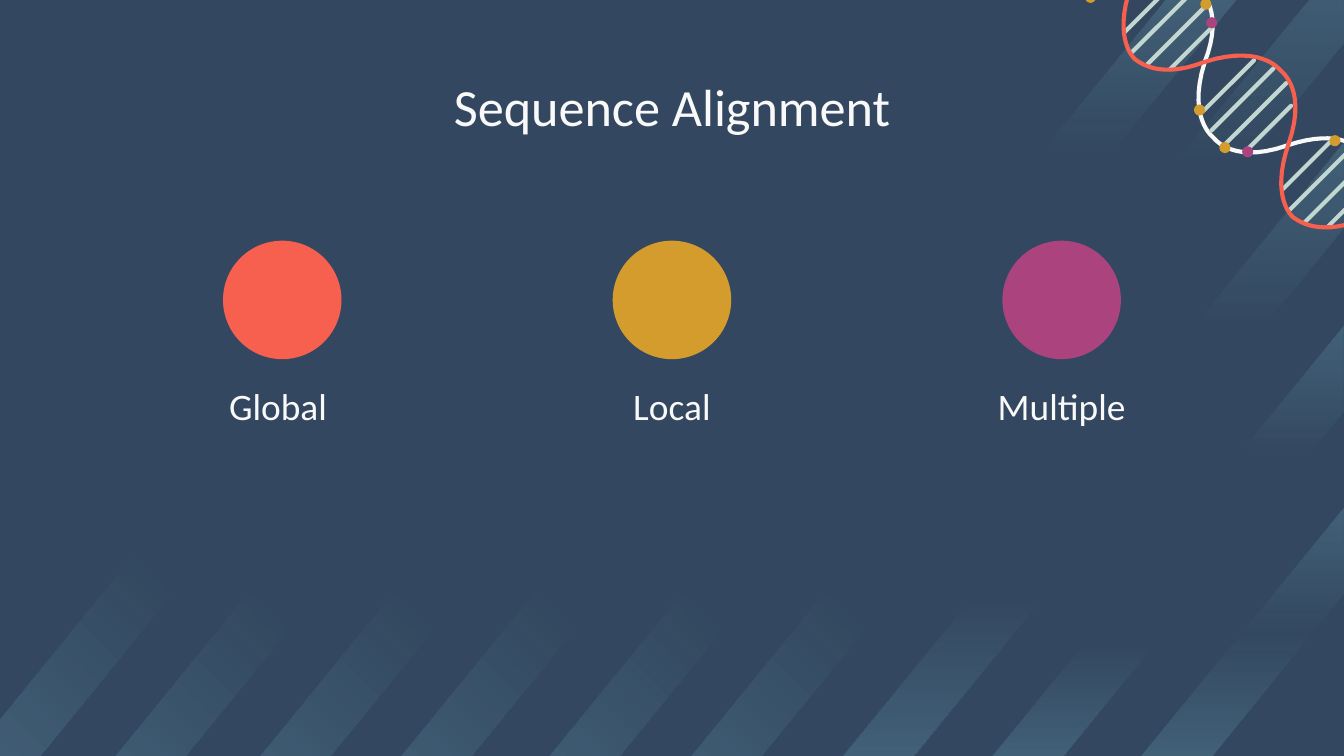
from dataclasses import dataclass
from typing import NamedTuple

from lxml import etree
from pptx import Presentation
from pptx import util as u
from pptx.dml.color import RGBColor
from pptx.enum import shapes, text
from pptx.oxml import ns
from pptx.util import Cm


@dataclass(frozen=True)
class Theme:
    background: str = "334860"
    stripe: str = "87D2E4"
    stripe_alpha: int = 18
    light: str = "F9F9F9"
    rung: str = "C2D7D0"
    red: str = "F75F4F"
    gold: str = "D39C2C"
    purple: str = "AA437E"
    font: str = "Calibri"
    title_size: int = 28
    label_size: int = 20
    strand_width: float = 2.2


class Box(NamedTuple):
    """A region of the slide, in centimetres."""
    x: float
    y: float
    w: float
    h: float


THEME = Theme()
FADE_DOWN, FADE_UP_RIGHT = 90, 315


def rgb(value):
    return RGBColor.from_string(value)


def sub(parent, tag, **attrs):
    return etree.SubElement(parent, ns.qn(tag), {k: str(v) for k, v in attrs.items()})


# Drawing helpers
def outline(s, points, close=True):
    pts = [(Cm(x), Cm(y)) for x, y in points]
    builder = s.shapes.build_freeform(*pts[0], scale=1.0)
    builder.add_line_segments(pts[1:], close=close)
    sp = builder.convert_to_shape()
    sp.shadow.inherit = False
    return sp


def disc(s, cx, cy, size, color):
    sp = s.shapes.add_shape(shapes.MSO_SHAPE.OVAL, Cm(cx - size / 2),
                            Cm(cy - size / 2), Cm(size), Cm(size))
    sp.shadow.inherit = False
    sp.fill.solid()
    sp.fill.fore_color.rgb = rgb(color)
    sp.line.fill.background()


def caption(s, box, words, size, anchor):
    sp = s.shapes.add_textbox(*map(Cm, box))
    tf = sp.text_frame
    tf.word_wrap = True
    tf.vertical_anchor = anchor
    tf.margin_left = tf.margin_right = tf.margin_top = tf.margin_bottom = Cm(0.25)
    p = tf.paragraphs[0]
    p.alignment = text.PP_ALIGN.CENTER
    r = p.add_run()
    r.text = words
    r.font.name = THEME.font
    r.font.size = u.Pt(size)
    r.font.color.rgb = rgb(THEME.light)


def stripe(s, points, stops, angle):
    """Draw a band whose gradient runs through (position %, opacity %) stops."""
    sp = outline(s, points)
    sp.line.fill.background()
    grad = etree.Element(ns.qn("a:gradFill"), rotWithShape="1")
    stop_list = sub(grad, "a:gsLst")
    for position, alpha in stops:
        stop = sub(stop_list, "a:gs", pos=position * 1000)
        color = sub(stop, "a:srgbClr", val=THEME.stripe)
        sub(color, "a:alpha", val=alpha * 1000)
    sub(grad, "a:lin", ang=angle * 60000, scaled=0)
    sp._element.spPr.find(ns.qn("a:custGeom")).addnext(grad)


def bezier(start, curves, steps=14):
    points = [start]
    for a, b, end in curves:
        first = points[-1]
        for i in range(1, steps + 1):
            t = i / steps
            weights = ((1 - t) ** 3, 3 * t * (1 - t) ** 2, 3 * t * t * (1 - t), t ** 3)
            points.append(tuple(sum(k * p[axis] for k, p in zip(weights, (first, a, b, end)))
                                for axis in (0, 1)))
    return points


# Regions
def add_stripes(s, box):
    glow = THEME.stripe_alpha
    both_ends = [(0, glow), (29, 0), (75, 0), (100, glow)]
    right, bottom = box.x + box.w - 0.01, box.y + box.h

    # Bands that run out at the right edge
    for left, top, base, stops in (
            (21.56, 9.6, bottom, [(0, glow), (50, 0), (100, glow)]),
            (21.56, -0.81, 3.87, [(0, glow), (82, 0), (100, 0)]),
            (18.75, 6.15, bottom, both_ends),
            (15.9, 2.67, bottom, both_ends)):
        stripe(s, [(right, top), (left, base), (left + 1.35, base), (right, top + 1.63)],
               stops, FADE_DOWN)

    # Short bands with a slanting lower end
    for x, y, fade, angle in (
            (19.46, 0, 58, FADE_DOWN),
            *((x, 11.13, 84, FADE_UP_RIGHT) for x in (13.08, 2.18, 4.93, 7.59, 10.39)),
            (0, 10.44, 84, FADE_UP_RIGHT)):
        stripe(s, [(x + 2.57, y), (x, y + 3.16), (x, y + 4.8), (x + 3.91, y)],
               [(0, glow), (fade, 0), (100, 0)], angle)


def add_strand(s, points, color):
    sp = outline(s, points, close=False)
    sp.fill.background()
    sp.line.color.rgb = rgb(color)
    sp.line.width = u.Pt(THEME.strand_width)


def add_rung(s, x, y, half):
    c = s.shapes.add_connector(shapes.MSO_CONNECTOR.STRAIGHT, Cm(x + half), Cm(y - half),
                               Cm(x - half), Cm(y + half))
    c.line.color.rgb = rgb(THEME.rung)
    c.line.width = u.Pt(THEME.strand_width)
    c.line._get_or_add_ln().set("cap", "rnd")
    sub(c._element.spPr, "a:effectLst")


def add_helix(s, box):
    """Draw a double helix along the diagonal of a square box."""
    start, pitch = (0, 1.27), 2.98
    turn = [((0.03, 1.3), (0.38, 1.78), (1.4, 1.42)),
            ((2.29, 1.12), (2.67, 1.4), (2.77, 1.5)),
            ((2.84, 1.6), (3.15, 1.98), (2.82, 2.82)),
            ((2.49, 3.86), (2.95, 4.22), (2.98, 4.25))]
    curves = [[(x + n * pitch, y + n * pitch) for x, y in curve]
              for n in range(2) for curve in turn]
    strand = bezier(start, curves)

    add_strand(s, [(box.x + x, box.y + y) for x, y in strand], THEME.light)
    for lobe in range(3):
        for i, half in enumerate((0.48, 0.59, 0.57, 0.4)):
            d = 1.78 + lobe * pitch / 2 + i * 0.26
            add_rung(s, box.x + d, box.y + d, half)
    # The second strand mirrors the first across the diagonal
    add_strand(s, [(box.x + y, box.y + x) for x, y in strand], THEME.red)

    dots = {THEME.purple: [(2.95, 2.08), (3.63, 4.52)],
            THEME.gold: [(0.66, 1.6), (2.84, 1.73), (2.72, 3.73), (3.2, 4.44), (5.28, 4.31)]}
    for color, centres in dots.items():
        for x, y in centres:
            disc(s, box.x + x, box.y + y, 0.21, color)


def add_types(s, box, items):
    """Spread the alignment types over equal columns."""
    width, label_h, size = 6.35, 1.04, 2.24
    step = (box.w - width) / (len(items) - 1)
    for i, (name, color) in enumerate(items):
        x = box.x + i * step
        disc(s, x + width / 2, box.y + size / 2, size, color)
        caption(s, Box(x, box.y + box.h - label_h, width, label_h), name,
                THEME.label_size, text.MSO_ANCHOR.MIDDLE)


def main():
    prs = Presentation()
    page = Box(0, 0, 25.4, 14.29)
    prs.slide_width, prs.slide_height = Cm(page.w), Cm(page.h)
    s = prs.slides.add_slide(prs.slide_layouts[6])
    s.background.fill.solid()
    s.background.fill.fore_color.rgb = rgb(THEME.background)

    add_stripes(s, page)
    add_helix(s, Box(19.95, -1.65, 7.23, 7.23))
    add_types(s, Box(2.16, 4.55, 21.08, 3.63),
              [("Global ", THEME.red), ("Local", THEME.gold), ("Multiple", THEME.purple)])
    caption(s, Box(2, 1.16, 21.4, 1.65), "Sequence Alignment",
            THEME.title_size, text.MSO_ANCHOR.TOP)
    prs.save("out.pptx")


if __name__ == "__main__":
    main()
